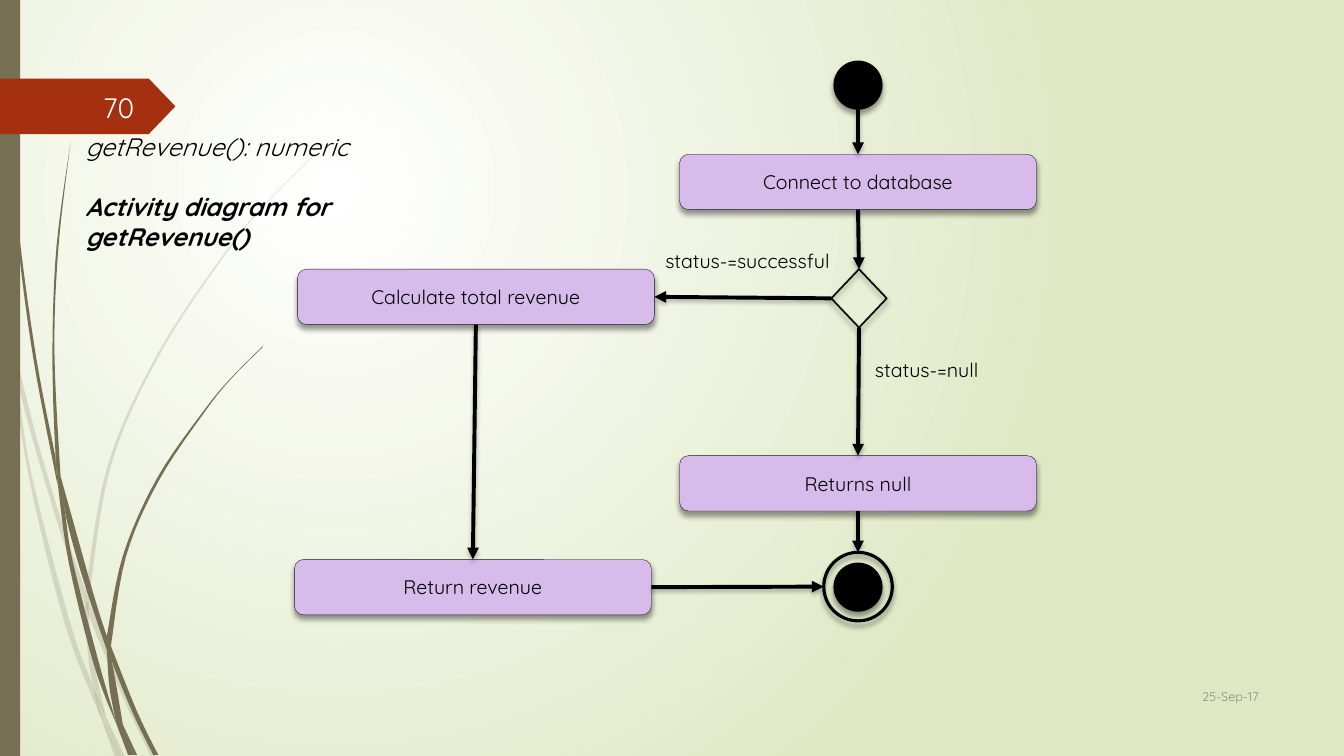
from lxml import etree
from pptx import Presentation
from pptx.dml.color import RGBColor
from pptx.enum.shapes import MSO_CONNECTOR, MSO_SHAPE as SHAPE
from pptx.enum.text import MSO_ANCHOR as ANCHOR, PP_ALIGN as ALIGN
from pptx.oxml.ns import qn
from pptx.util import Inches, Pt

FONT = "Quicksand"
BLACK, LILAC, OLIVE, RUST = "000000", "D6BBEB", "766F54", "A53010"
BOX_W, BOX_H, DOT, MAIN_X = 3.54, 0.55, 0.47, 8.51
PORTS = {"top": (0.5, 0), "bottom": (0.5, 1), "left": (0, 0.5), "right": (1, 0.5)}
PALE_BLADES = [
    ([(0, 2.82), (0, 2.99), (0.11, 3.5)], [(0, 2.82), (0.09, 3.22), (0.11, 3.5)]),
    ([(0.14, 3.45), (0.17, 3.76), (0.24, 4.05), (0.36, 4.49), (0.58, 5.22), (0.84, 5.99)],
     [(0.14, 3.45), (0.36, 4.33), (0.62, 5.2), (0.85, 5.86)]),
    ([(0.88, 5.96), (0.88, 6.1), (1.23, 6.94), (1.5, 7.51)], [(0.88, 5.96), (1.27, 6.92), (1.55, 7.51)]),
    ([(1.05, 7.11), (1.19, 7.51)], [(1.05, 7.11), (1.24, 7.51)]),
    ([(0.11, 3.5), (0.28, 4.7), (0.65, 6.21), (1.01, 7.14)],
     [(0.11, 3.5), (0.17, 3.76), (0.31, 4.69), (0.7, 6.19), (0.93, 6.83), (1.01, 7.14)]),
    ([(0.84, 5.99), (0.87, 6.46), (0.93, 6.83), (1.05, 7.11)], [(0.84, 5.99), (0.88, 6.1), (0.91, 6.46), (1.05, 7.11)]),
    ([(3.12, 1.53), (2.68, 1.97), (2.28, 2.44), (1.58, 3.48), (1.07, 4.61), (0.85, 5.86)],
     [(3.12, 1.54), (2.68, 1.98), (2.29, 2.45), (1.6, 3.49), (1.1, 4.62), (0.88, 5.96)]),
    ([(1.01, 7.14), (1.14, 7.51)], [(1.01, 7.14), (1.19, 7.51)]),
    ([(0.85, 5.86), (0.84, 5.99)], [(0.88, 5.96), (0.88, 6.1)]),
    ([(0.93, 6.83), (1.01, 7.14), (1.19, 7.51)], [(0.93, 6.83), (1.05, 7.11), (1.19, 7.51)])]
DARK_BLADES = [
    ([(0.03, 0), (0.07, 1.1), (0.17, 2.33), (0.33, 3.55), (0.57, 4.81)],
     [(0.04, 0), (0.08, 1.09), (0.19, 2.32), (0.36, 3.55), (0.55, 4.53)]),
    ([(0.6, 4.72), (0.64, 5.05), (0.74, 5.46), (0.88, 5.92), (1.06, 6.45)], [(0.6, 4.72), (0.93, 5.9), (1.06, 6.31)]),
    ([(1.1, 6.41), (1.11, 6.56), (1.32, 7.08), (1.52, 7.49)], [(1.1, 6.41), (1.36, 7.06), (1.57, 7.49)]),
    ([(0.57, 4.77), (0.68, 5.57), (0.93, 6.59), (1.17, 7.22)],
     [(0.57, 4.77), (0.64, 5.05), (0.72, 5.56), (0.98, 6.57), (1.17, 7.22)]),
    ([(0.7, 1.41), (0.56, 2.45), (0.52, 3.49), (0.55, 4.49), (0.6, 4.72)],
     [(0.7, 1.41), (0.58, 2.45), (0.54, 3.49), (0.6, 4.72)]),
    ([(1.22, 7.19), (1.33, 7.49)], [(1.22, 7.19), (1.36, 7.49)]),
    ([(0.55, 4.49), (0.57, 4.77), (0.64, 5.05)], [(0.55, 4.49), (0.6, 4.72), (0.64, 5.05)]),
    ([(2.6, 3.44), (2.31, 3.73), (2.04, 4.05), (1.56, 4.74), (1.22, 5.51), (1.06, 6.31)],
     [(2.61, 3.44), (2.31, 3.74), (2.05, 4.06), (1.58, 4.76), (1.25, 5.52), (1.1, 6.41)]),
    ([(1.17, 7.22), (1.27, 7.49)], [(1.17, 7.22), (1.31, 7.49)]),
    ([(1.06, 6.45), (1.1, 6.91), (1.22, 7.19)], [(1.06, 6.45), (1.11, 6.56), (1.22, 7.19)]),
    ([(1.06, 6.31), (1.06, 6.45)], [(1.06, 6.31), (1.1, 6.41), (1.11, 6.56)]),
    ([(1.1, 6.91), (1.17, 7.22), (1.3, 7.49)], [(1.1, 6.91), (1.22, 7.19), (1.33, 7.49)])]

def rgb(hex_colour):
    """Turn a hex string into a colour."""
    return RGBColor.from_string(hex_colour)

def add_xml(parent, tag, **attrs):
    """Append a drawing element with the given attributes."""
    return etree.SubElement(parent, qn(tag), {k: str(v) for k, v in attrs.items()})

def set_alpha(parent, percent):
    """Make the first colour under an element partly transparent."""
    add_xml(next(parent.iter(qn("a:srgbClr"))), "a:alpha", val=percent * 1000)

def add_shadow(effects, blur, dist, percent):
    """Put a black downward shadow into an effect list."""
    shadow = add_xml(effects, "a:outerShdw", blurRad=Pt(blur), dist=Pt(dist), dir=5400000, rotWithShape=0)
    add_xml(shadow, "a:srgbClr", val=BLACK)
    set_alpha(shadow, percent)

def write(tf, lines, align=ALIGN.LEFT, gap=0, color=BLACK, size=14, **base):
    """Fill a text frame with (text, format) lines, a gap apart."""
    for i, (text, extra) in enumerate(lines):
        p = tf.add_paragraph() if i else tf.paragraphs[0]
        p.alignment, p.space_before = align, Pt(gap if i else 0)
        r = p.add_run()
        r.text = text
        r.font.color.rgb = rgb(color)
        for name, value in {"name": FONT, "size": Pt(size), **base, **extra}.items():
            setattr(r.font, name, value)

def add_label(s, box, lines, anchor=ANCHOR.TOP, wrap=True, **formats):
    """Add a text box."""
    tf = s.shapes.add_textbox(*map(Inches, box)).text_frame
    tf.word_wrap, tf.vertical_anchor = wrap, anchor
    write(tf, lines, **formats)

def paint(sp, fill=None, line=None, width=1.25):
    """Set fill and outline, and drop the theme shadow."""
    sp.line.width = Pt(width)
    for part, colour in ((sp.fill, fill), (sp.line.fill, line)):
        if colour:
            part.solid()
            part.fore_color.rgb = rgb(colour)
        else:
            part.background()
    sp.shadow.inherit = False

def add_node(s, kind, centre_x, top, w, h, **colours):
    """Add a shadowed diagram node centred on a column."""
    sp = s.shapes.add_shape(kind, *map(Inches, (centre_x - w / 2, top, w, h)))
    paint(sp, **colours)
    add_shadow(next(sp.element.iter(qn("a:effectLst"))), 4, 3, 40)
    return sp

def add_step(s, centre_x, top, text):
    """Add a rounded activity box."""
    sp = add_node(s, SHAPE.FLOWCHART_ALTERNATE_PROCESS, centre_x, top, BOX_W, BOX_H, fill=LILAC, line=BLACK, width=0.25)
    set_alpha(next(sp.element.iter(qn("a:ln"))), 88)
    sp.text_frame.vertical_anchor = ANCHOR.MIDDLE
    write(sp.text_frame, [(text, {})], align=ALIGN.CENTER)
    return sp

def port(sp, side):
    """Return the middle of one side of a shape."""
    fx, fy = PORTS[side]
    return int(sp.left + fx * sp.width), int(sp.top + fy * sp.height)

def add_arrow(s, start, start_side, end, end_side):
    """Add an arrow between two nodes."""
    line = s.shapes.add_connector(MSO_CONNECTOR.STRAIGHT, *port(start, start_side), *port(end, end_side))
    line.line.color.rgb = rgb(BLACK)
    line.line.width = Pt(2.8)
    add_xml(next(line.element.iter(qn("a:ln"))), "a:tailEnd", type="triangle")
    add_shadow(add_xml(line.element.spPr, "a:effectLst"), 3, 2, 25)

def smooth(points, steps=6):
    """Return points along a smooth curve through the given ones."""
    padded = [points[0], *points, points[-1]]
    curve = [points[0]]
    for corners in zip(padded, padded[1:], padded[2:], padded[3:]):
        for t in (k / steps for k in range(1, steps + 1)):
            curve.append([(2 * b + (c - a) * t + (2 * a - 5 * b + 4 * c - d) * t ** 2
                           + (3 * b - a - 3 * c + d) * t ** 3) / 2 for a, b, c, d in zip(*corners)])
    return curve

def add_blade(s, opacity, left_edge, right_edge):
    """Add a piece of grass between two curved edges."""
    outline = [(Inches(x), Inches(y)) for x, y in smooth(left_edge) + smooth(right_edge)[::-1]]
    builder = s.shapes.build_freeform(*outline[0])
    builder.add_line_segments(outline[1:])
    sp = builder.convert_to_shape()
    paint(sp, OLIVE)
    set_alpha(sp.element.spPr, opacity)

def add_background(s):
    """Fill the slide with a round glow."""
    fill = s.background.fill
    fill.gradient()
    for stop, colour in zip(fill.gradient_stops, ("FFFFFF", "DFE8C4")):
        stop.color.rgb = rgb(colour)
    grad = next(s.element.iter(qn("a:gradFill")))
    grad.remove(grad.find(qn("a:lin")))
    add_xml(add_xml(grad, "a:path", path="circle"), "a:fillToRect", l=50000, t=50000, r=100000, b=100000)

def add_frame(s):
    """Add the side bar, page badge, date and heading."""
    paint(s.shapes.add_shape(SHAPE.RECTANGLE, 0, 0, Inches(0.2), Inches(7.5)), OLIVE)
    badge = s.shapes.add_shape(SHAPE.PENTAGON, 0, *map(Inches, (0.78, 1.74, 0.55)))
    badge.adjustments[0] = 0.48
    paint(badge, RUST)
    for box, text, size, colour in [((11.33, 6.7, 1.25, 0.41), "25-Sep-17", 9, "8C8C8C"),
                                    ((0.58, 0.86, 0.85, 0.4), "70", 20, "FEFFFF")]:
        add_label(s, box, [(text, {})], ANCHOR.MIDDLE, align=ALIGN.RIGHT, size=size, color=colour)
    heading = [("getRevenue(): numeric", {}), ("Activity diagram for getRevenue()", {"bold": True})]
    add_label(s, (0.75, 1.25, 3.41, 1.31), heading, gap=21.4, size=18, italic=True)

def add_diagram(s):
    """Add the activity diagram."""
    circle = SHAPE.FLOWCHART_CONNECTOR
    start, _ = [add_node(s, circle, MAIN_X, top, DOT, DOT, fill=BLACK, line=BLACK) for top in (0.61, 5.59)]
    end = add_node(s, circle, MAIN_X, 5.48, 0.68, 0.68, line=BLACK, width=2.25)
    connect = add_step(s, MAIN_X, 1.53, "Connect to database")
    null = add_step(s, MAIN_X, 4.52, "Returns null")
    choice = add_node(s, SHAPE.DIAMOND, MAIN_X + 0.01, 2.67, 0.55, 0.58, line="0D0D0D")
    total = add_step(s, 4.72, 2.67, "Calculate total revenue")
    revenue = add_step(s, 4.69, 5.55, "Return revenue")
    for a, b in [(start, connect), (connect, choice), (choice, null), (null, end), (total, revenue)]:
        add_arrow(s, a, "bottom", b, "top")
    add_arrow(s, choice, "left", total, "right")
    add_arrow(s, revenue, "right", end, "left")
    add_label(s, (8.58, 3.5, 2.36, 0.34), [("status-=null", {})])
    add_label(s, (6.5, 2.42, 1.87, 0.34), [("status-=successful", {})], wrap=False)

def main():
    """Build and save the slide."""
    prs = Presentation()
    prs.slide_width, prs.slide_height = Inches(13.33), Inches(7.5)
    s = prs.slides.add_slide(prs.slide_layouts[6])
    add_background(s)
    for opacity, blades in ((20, PALE_BLADES), (100, DARK_BLADES)):
        for edges in blades:
            add_blade(s, opacity, *edges)
    add_frame(s)
    add_diagram(s)
    prs.save("out.pptx")

if __name__ == "__main__":
    main()
